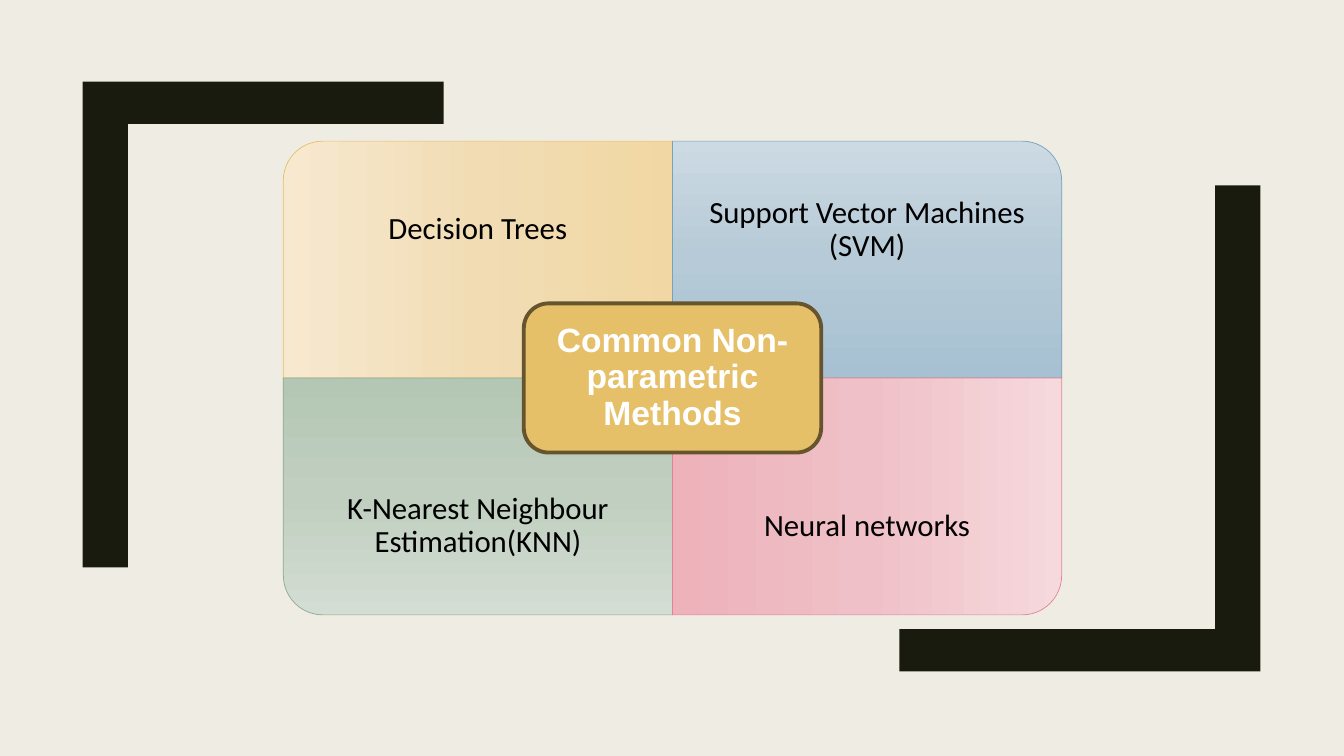
from copy import deepcopy
from dataclasses import dataclass

from pptx import Presentation
from pptx import util as u
from pptx.dml.color import RGBColor
from pptx.enum import shapes as sh, text as tx


@dataclass(frozen=True)
class Theme:
    """Colours, fonts and type sizes of the slide."""
    paper: str = "EFEDE3"
    dark: str = "191B0E"
    gold: str = "E6C069"
    rim: str = "65542E"
    body: tuple = ("Calibri", 22, "000000", False)
    head: tuple = ("Arial", 24, "FFFFFF", True)


THEME = Theme()
WIDE, HIGH = 13.33, 7.5
TILES = [
    ("Decision Trees", 0, 0, 270, ("F7E9D0", "F1DCB4", "F1D7A3"), "E6C069"),
    ("Support Vector Machines (SVM)", 1, 0, 0, ("CCDAE3", "B6CAD7", "A7C1D2"), "77A2BB"),
    ("K-Nearest Neighbour Estimation(KNN)", 0, 1, 180, ("D3DDD3", "C0CFC0", "B4C7B5"), "8DAB8E"),
    ("Neural networks", 1, 1, 90, ("F6D9DD", "EFC0C7", "EEB2BB"), "E28394"),
]


def put(obj, vals):
    """Set attributes from a dict of format values."""
    for key, val in vals.items():
        setattr(obj, key, val)


def paint(fill, hue):
    """Give a fill one solid colour."""
    fill.solid()
    fill.fore_color.rgb = RGBColor.from_string(hue)


def blend(fill, hues):
    """Give a fill an even gradient running down the shape."""
    fill.gradient()
    fill.gradient_angle = 270
    stops = fill._fill._gradFill.gsLst
    stops.append(deepcopy(stops[0]))
    for num, (stop, hue) in enumerate(zip(fill.gradient_stops, hues)):
        stop.position = num / (len(hues) - 1)
        stop.color.rgb = RGBColor.from_string(hue)


def shape(slide, kind, box, edge, width):
    """Add an outlined preset shape without a shadow."""
    item = slide.shapes.add_shape(kind, *map(u.Inches, box))
    item.shadow.inherit = False
    paint(item.line.fill, edge)
    item.line.width = u.Pt(width)
    return item


def label(slide, box, words, style, inset):
    """Add centred text in a box."""
    frame = slide.shapes.add_textbox(*map(u.Inches, box)).text_frame
    put(frame, {"word_wrap": True, "vertical_anchor": tx.MSO_ANCHOR.MIDDLE})
    sides = ("left", "top", "right", "bottom")
    put(frame, {f"margin_{side}": u.Inches(inset) for side in sides})
    para = frame.paragraphs[0]
    put(para, {"alignment": tx.PP_ALIGN.CENTER, "line_spacing": 0.9})
    run = para.add_run()
    run.text = words
    name, size, hue, bold = style
    put(run.font, {"name": name, "size": u.Pt(size), "bold": bold})
    run.font.color.rgb = RGBColor.from_string(hue)


def bracket(slide, box, flip):
    """Draw a corner bracket, turned half round if flip is set."""
    left, top, wide, high = box
    arm, bar = 0.125, 0.087
    spots = [(0, 0), (1, 0), (1, bar), (arm, bar), (arm, 1), (0, 1)]
    if flip:
        spots = [(1 - x, 1 - y) for x, y in spots]
    points = [(u.Inches(left + x * wide), u.Inches(top + y * high)) for x, y in spots]
    pen = slide.shapes.build_freeform(*points[0])
    pen.add_line_segments(points[1:])
    item = pen.convert_to_shape()
    item.shadow.inherit = False
    paint(item.fill, THEME.dark)
    item.line.fill.background()


def tile(slide, box, data):
    """Draw one quarter of the matrix with its label."""
    words, _, row, turn, hues, edge = data
    left, top, wide, high = box
    w, h = (high, wide) if turn % 180 else (wide, high)
    spot = (left + (wide - w) / 2, top + (high - h) / 2, w, h)
    item = shape(slide, sh.MSO_SHAPE.ROUND_1_RECTANGLE, spot, edge, 0.5)
    item.rotation = turn
    blend(item.fill, hues)
    label(slide, (left, top + row * high / 4, wide, high * 0.75), words, THEME.body, 0.17)


def hub(slide, box, words):
    """Draw the central title plate."""
    left, top, wide, high = box
    item = shape(slide, sh.MSO_SHAPE.ROUNDED_RECTANGLE, box, THEME.rim, 2.75)
    paint(item.fill, THEME.gold)
    pad = 0.07
    spot = (left + pad, top + pad, wide - 2 * pad, high - 2 * pad)
    label(slide, spot, words, THEME.head, 0.1)


def matrix(slide, box):
    """Lay out the four tiles and the hub in a box."""
    left, top, wide, high = box
    w, h = wide / 2, high / 2
    for data in TILES:
        _, col, row, *_ = data
        tile(slide, (left + col * w, top + row * h, w, h), data)
    cw, ch = 2.95, 1.48
    spot = (left + w - cw / 2, top + h - ch / 2, cw, ch)
    hub(slide, spot, "Common Non-parametric Methods")


def main():
    """Build and save the slide."""
    deck = Presentation()
    put(deck, {"slide_width": u.Inches(WIDE), "slide_height": u.Inches(HIGH)})
    slide = deck.slides.add_slide(deck.slide_layouts[6])
    paint(slide.background.fill, THEME.paper)
    bracket(slide, (8.92, 1.84, 3.58, 4.82), True)
    bracket(slide, (0.82, 0.81, 3.58, 4.82), False)
    matrix(slide, (2.81, 1.4, 7.72, 4.7))
    deck.save("out.pptx")


if __name__ == "__main__":
    main()
